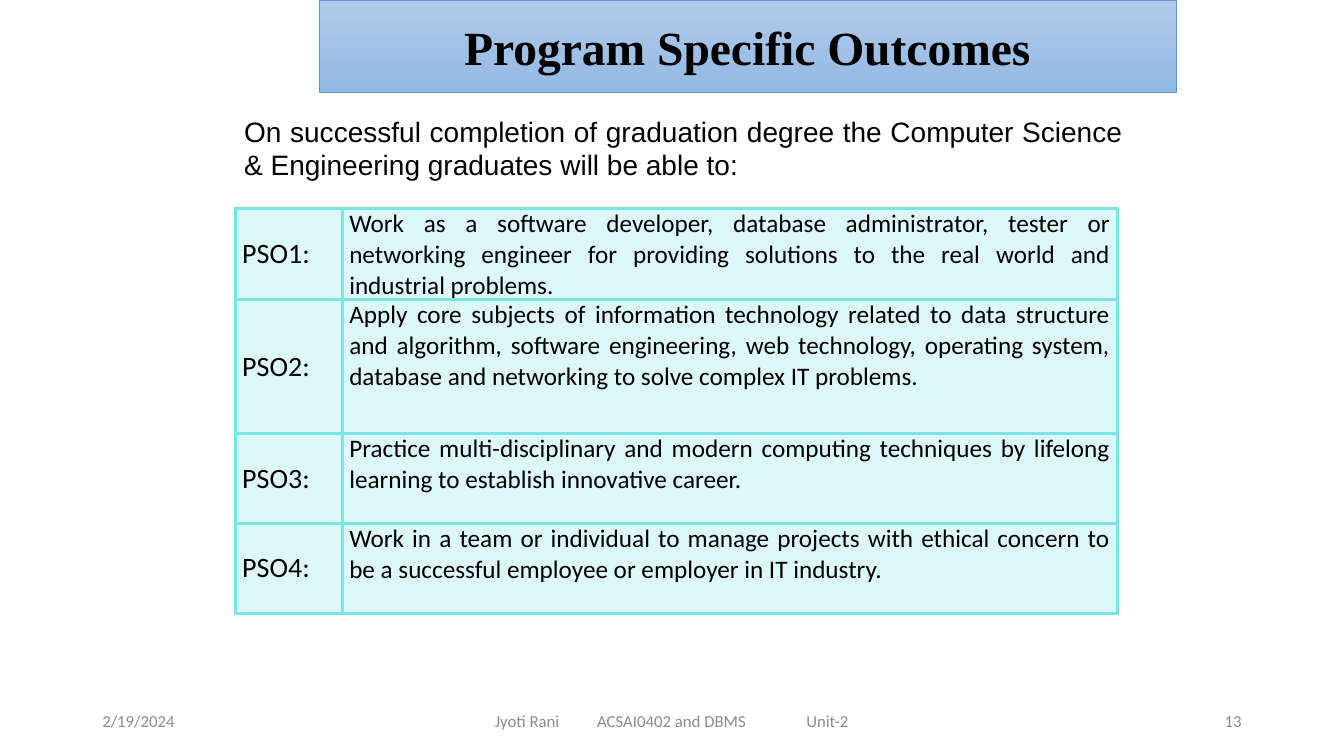
import pptx
import pptx.util
import pptx.dml.color
import pptx.enum.shapes
import pptx.enum.text
from lxml import etree
from pptx.oxml.ns import qn

Pt = pptx.util.Pt
Align = pptx.enum.text.PP_ALIGN
Anchor = pptx.enum.text.MSO_ANCHOR

COLORS = {
    "text": "000000",
    "footer": "8C8C8C",
    "number": "898989",
    "table": "7BE5E5",
    "title_top": "B1CBE9",
    "title_bottom": "93B9E4",
    "title_line": "5B9BD5",
}
OUTCOMES = [
    ("PSO1:", 64.8, "Work as a software developer, database administrator, tester or networking "
     "engineer for providing solutions to the real world and industrial problems."),
    ("PSO2:", 95.8, "Apply core subjects of information technology related to data structure and "
     "algorithm, software engineering, web technology, operating system, database and networking "
     "to solve complex IT problems."),
    ("PSO3:", 64.1, "Practice multi-disciplinary and modern computing techniques by lifelong "
     "learning to establish innovative career."),
    ("PSO4:", 64.1, "Work in a team or individual to manage projects with ethical concern to be a "
     "successful employee or employer in IT industry."),
]


def rgb(name):
    return pptx.dml.color.RGBColor.from_string(COLORS[name])


def write(frame, text, size, font="Calibri", color="text", align=Align.LEFT, bold=False):
    """Fill the first paragraph of a text frame with one run and return the paragraph."""
    frame.word_wrap = True
    paragraph = frame.paragraphs[0]
    paragraph.alignment = align
    run = paragraph.add_run()
    run.text = text
    run.font.size = Pt(size)
    run.font.name = font
    run.font.bold = bold
    run.font.color.rgb = rgb(color)
    return paragraph


presentation = pptx.Presentation()
presentation.slide_width = Pt(960)
presentation.slide_height = Pt(540)
slide = presentation.slides.add_slide(presentation.slide_layouts[6])

# Footer
for left, width, text, color, align in [
    (66, 216, "2/19/2024", "footer", Align.LEFT),
    (318, 324, "Jyoti Rani\tACSAI0402 and DBMS\tUnit-2", "footer", Align.LEFT),
    (678, 216, "13", "number", Align.RIGHT),
]:
    box = slide.shapes.add_textbox(Pt(left), Pt(500.5), Pt(width), Pt(28.8))
    box.text_frame.vertical_anchor = Anchor.MIDDLE
    paragraph = write(box.text_frame, text, 12, color=color, align=align)
    if "\t" in text:
        box.text_frame.margin_left = Pt(35.5)
        properties = paragraph._p.get_or_add_pPr()
        tabs = etree.SubElement(properties, qn("a:tabLst"))
        for position in (73, 222.5):
            etree.SubElement(tabs, qn("a:tab"), pos=str(Pt(position)), algn="l")

# Outcomes table
heights = [height for label, height, text in OUTCOMES]
table = slide.shapes.add_table(
    len(OUTCOMES), 2, Pt(168), Pt(149.2), Pt(630), Pt(sum(heights))).table
table.first_row = False
table.horz_banding = False
for column, width in zip(table.columns, (76.5, 553.5)):
    column.width = Pt(width)
for row, (label, height, text) in zip(table.rows, OUTCOMES):
    row.height = Pt(height)
    for cell, content, size, anchor in zip(
            row.cells, (label, text), (20, 18), (Anchor.MIDDLE, Anchor.TOP)):
        cell.margin_left = cell.margin_right = Pt(5)
        cell.margin_top = cell.margin_bottom = 0
        cell.vertical_anchor = anchor
        write(cell.text_frame, content, size, align=Align.JUSTIFY)
        properties = cell._tc.get_or_add_tcPr()
        for side in ("a:lnL", "a:lnR", "a:lnT", "a:lnB"):
            border = etree.SubElement(properties, qn(side), w=str(Pt(2.25)))
            border_fill = etree.SubElement(border, qn("a:solidFill"))
            etree.SubElement(border_fill, qn("a:srgbClr"), val=COLORS["table"])
        cell.fill.solid()
        cell.fill.fore_color.rgb = rgb("table")
        cell_color = properties.find(qn("a:solidFill")).find(qn("a:srgbClr"))
        etree.SubElement(cell_color, qn("a:alpha"), val="25000")

# Title banner
banner = slide.shapes.add_shape(
    pptx.enum.shapes.MSO_SHAPE.RECTANGLE, Pt(228), 0, Pt(612), Pt(66))
banner.shadow.inherit = False
banner.fill.gradient()
banner.fill.gradient_angle = 270
for stop, name in zip(banner.fill.gradient_stops, ("title_top", "title_bottom")):
    stop.color.rgb = rgb(name)
banner.line.color.rgb = rgb("title_line")
banner.line.width = Pt(0.5)
banner.text_frame.vertical_anchor = Anchor.MIDDLE
write(banner.text_frame, "Program Specific Outcomes", 34, "Times New Roman",
      align=Align.CENTER, bold=True)

# Introduction
intro = slide.shapes.add_textbox(Pt(167.3), Pt(78), Pt(642), Pt(55.7))
write(intro.text_frame, "On successful completion of graduation degree the Computer Science & "
      "Engineering graduates will be able to:", 20, "Arial", align=Align.JUSTIFY)
intro.text_frame.auto_size = pptx.enum.text.MSO_AUTO_SIZE.SHAPE_TO_FIT_TEXT

presentation.save("out.pptx")
